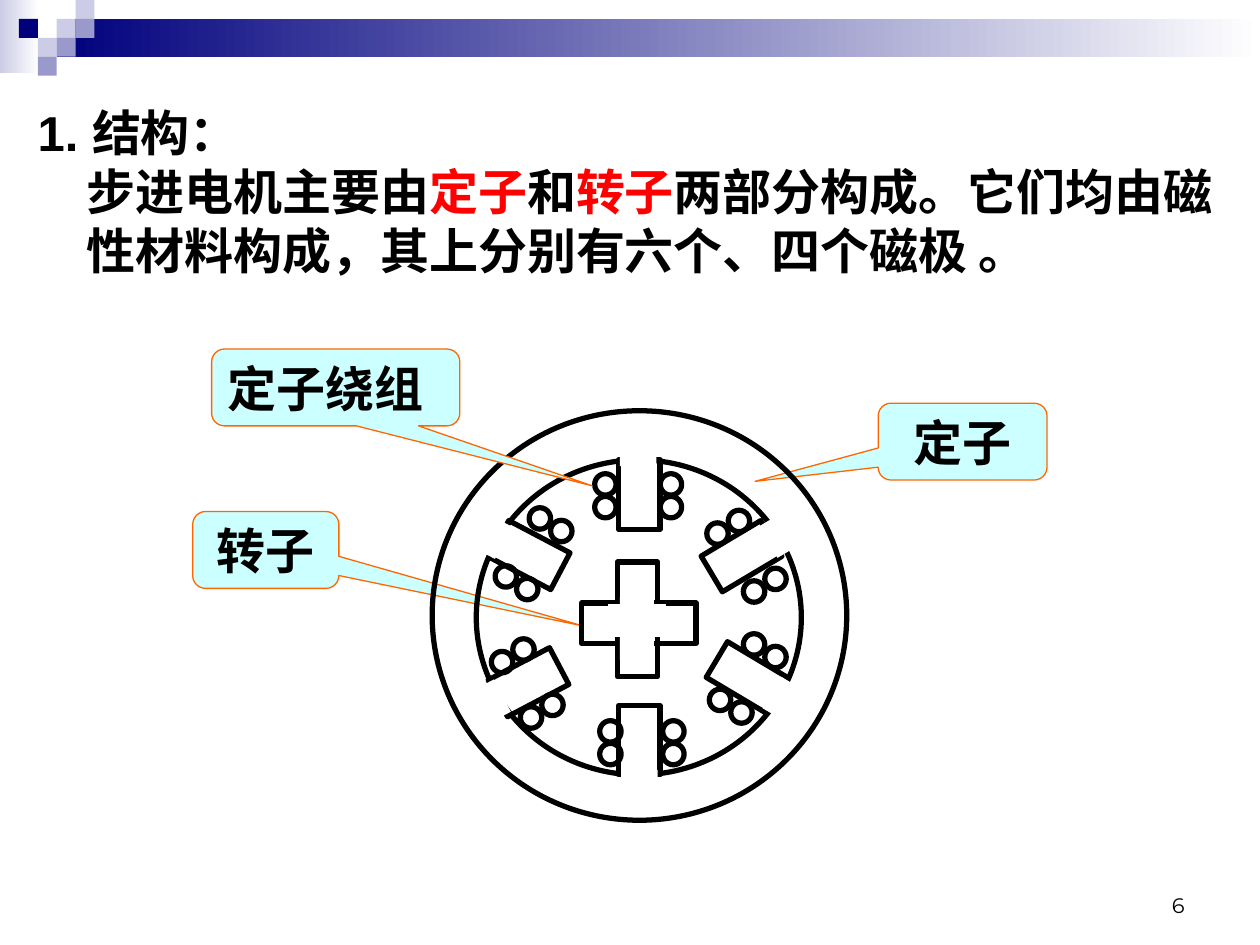
from pptx import Presentation
from pptx.dml.color import RGBColor as RGB
from pptx.enum.shapes import MSO_SHAPE as Kind
from pptx.enum.text import MSO_ANCHOR as Anchor, PP_ALIGN as Align
from pptx.oxml.ns import qn
from pptx.util import Inches, Pt
from lxml import etree

NAVY = RGB(0x00, 0x00, 0x7D)
LILAC = RGB(0xCC, 0xCC, 0xE6)
MAUVE = RGB(0x99, 0x99, 0xCC)
WHITE = RGB(0xFF, 0xFF, 0xFF)
BLACK = RGB(0x00, 0x00, 0x00)
RED = RGB(0xFF, 0x00, 0x00)
AQUA = RGB(0xCC, 0xFF, 0xFF)
ORANGE = RGB(0xFF, 0x66, 0x00)
HAN = "Noto Sans CJK SC"


def put(slide, kind, x, y, w, h, fill=None, line=None, width=3, turn=0):
    """Add a shape; a pair of colours as fill makes a gradient."""
    shape = slide.shapes.add_shape(kind, Inches(x), Inches(y), Inches(w), Inches(h))
    shape.shadow.inherit = False
    shape.rotation = turn
    if fill is None:
        shape.fill.background()
    elif isinstance(fill, list):
        shape.fill.gradient()
        shape.fill.gradient_angle = 0
        for stop, color in zip(shape.fill.gradient_stops, fill):
            stop.color.rgb = color
    else:
        shape.fill.solid()
        shape.fill.fore_color.rgb = fill
    if line is None:
        shape.line.fill.background()
    else:
        shape.line.color.rgb = line
        shape.line.width = Pt(width)
    return shape


def write(shape, runs, size=28, font=HAN, bold=True, align=Align.LEFT,
          anchor=Anchor.MIDDLE, pitch=None, hang=0):
    """Write (text, colour) runs as one paragraph."""
    frame = shape.text_frame
    frame.word_wrap = True
    frame.vertical_anchor = anchor
    par = frame.paragraphs[0]
    par.alignment = align
    if pitch:
        par.line_spacing = Pt(pitch)
    if hang:
        props = par._p.get_or_add_pPr()
        props.set("marL", str(Inches(hang)))
        props.set("indent", str(-Inches(hang)))
    for text, color in runs:
        for i, part in enumerate(text.split("\n")):
            if i:
                par.add_line_break()
            run = par.add_run()
            run.text = part
            run.font.size = Pt(size)
            run.font.bold = bold
            run.font.name = font
            run.font.color.rgb = color
            east = etree.SubElement(run._r.rPr, qn("a:ea"))
            east.set("typeface", HAN)


def text_box(slide, x, y, w, h, runs, **style):
    box = slide.shapes.add_textbox(Inches(x), Inches(y), Inches(w), Inches(h))
    write(box, runs, **style)


def banner(slide, x, y, w):
    """Gradient bar with a mosaic of small squares."""
    put(slide, Kind.RECTANGLE, x, y, 0.31, 0.58, [LILAC, WHITE])
    put(slide, Kind.RECTANGLE, x + 0.45, y + 0.15, w - 0.45, 0.3, [NAVY, WHITE])
    side = 0.15
    tiles = [(3, 1, LILAC), (4, 0, LILAC), (4, 1, MAUVE), (2, 2, LILAC),
             (1, 1, NAVY), (3, 2, MAUVE), (2, 3, MAUVE)]
    for col, row, color in tiles:
        put(slide, Kind.RECTANGLE, x + col * side, y + row * side, side, side, color)


def callout(slide, x, y, w, text, tail, align=Align.CENTER):
    shape = put(slide, Kind.ROUNDED_RECTANGULAR_CALLOUT, x, y, w, 0.61,
                AQUA, ORANGE, 0.75)
    for i, value in enumerate((*tail, 0.167)):
        shape.adjustments[i] = value
    write(shape, [(text, BLACK)], align=align)


def rotor(slide, x, y):
    """Cross of two bars whose inner lines are covered."""
    for dx, dy, turn in [(0, 0, 0), (0.01, 0.03, 270)]:
        put(slide, Kind.RECTANGLE, x + dx, y + dy, 0.32, 0.91, line=BLACK, turn=turn)
    put(slide, Kind.RECTANGLE, x + 0.02, y + 0.28, 0.27, 0.5, WHITE)
    put(slide, Kind.RECTANGLE, x - 0.07, y + 0.34, 0.45, 0.25, WHITE, WHITE, 0.75)


def motor(slide, x, y):
    # Stator rings
    put(slide, Kind.OVAL, x + 0.35, y + 0.39, 2.58, 2.5, line=BLACK)
    put(slide, Kind.OVAL, x, y, 3.29, 3.25, line=BLACK)

    # Six poles, each with a cover that opens it to the ring
    poles = [(1.48, 0.39, 1.49, 0.21, 0), (1.48, 2.34, 1.5, 2.85, 0),
             (2.29, 0.88, 2.62, 0.87, 59.2), (0.61, 0.87, 0.32, 0.88, 297.8),
             (2.33, 1.84, 2.65, 2.18, 120.8), (0.6, 1.88, 0.31, 2.2, 62.2)]
    for px, py, cx, cy, turn in poles:
        put(slide, Kind.RECTANGLE, x + px, y + py, 0.33, 0.55, line=BLACK, turn=turn)
        put(slide, Kind.RECTANGLE, x + cx, y + cy, 0.29, 0.23, WHITE, turn=turn)

    rotor(slide, x + 1.47, y + 1.2)

    # Coils: pairs of turns, grouped by the step from one to the next
    coils = {
        (0, 0.18): [(1.29, 0.5), (1.81, 0.5), (1.33, 2.46), (1.83, 2.46)],
        (0.17, 0.1): [(2.47, 1.77), (2.2, 2.21), (0.77, 0.77), (0.5, 1.23)],
        (0.17, -0.1): [(0.7, 2.35), (2.47, 1.35), (0.47, 1.91), (2.18, 0.89)],
    }
    for (dx, dy), starts in coils.items():
        for cx, cy in starts:
            for i in range(2):
                put(slide, Kind.OVAL, x + cx + i * dx, y + cy + i * dy,
                    0.17, 0.17, line=BLACK)


def main():
    deck = Presentation()
    deck.slide_width, deck.slide_height = Inches(10), Inches(7.5)
    slide = deck.slides.add_slide(deck.slide_layouts[6])

    banner(slide, 0, 0, 10)
    text_box(slide, 7.17, 6.83, 2.33, 0.5, [("6", BLACK)], size=12,
             font="Montserrat", bold=False, align=Align.RIGHT, anchor=Anchor.BOTTOM)
    text_box(slide, 0.2, 0.76, 9.61, 6.54, [
        ("1. 结构：\n步进电机主要由", BLACK), ("定子", RED), ("和", BLACK),
        ("转子", RED),
        ("两部分构成。它们均由磁性材料构成，其上分别有六个、四个磁极 。", BLACK),
    ], font="Arial", anchor=Anchor.TOP, pitch=33.7, hang=0.39)

    # Labels and motor
    callout(slide, 6.97, 3.2, 1.34, "定子", (-1.229, 0.517))
    callout(slide, 1.53, 4.06, 1.16, "转子", (2.171, 0.989))
    motor(slide, 3.43, 3.26)
    callout(slide, 1.68, 2.77, 1.97, "定子绕组", (1.033, 1.28), Align.LEFT)

    deck.save("out.pptx")


if __name__ == "__main__":
    main()
